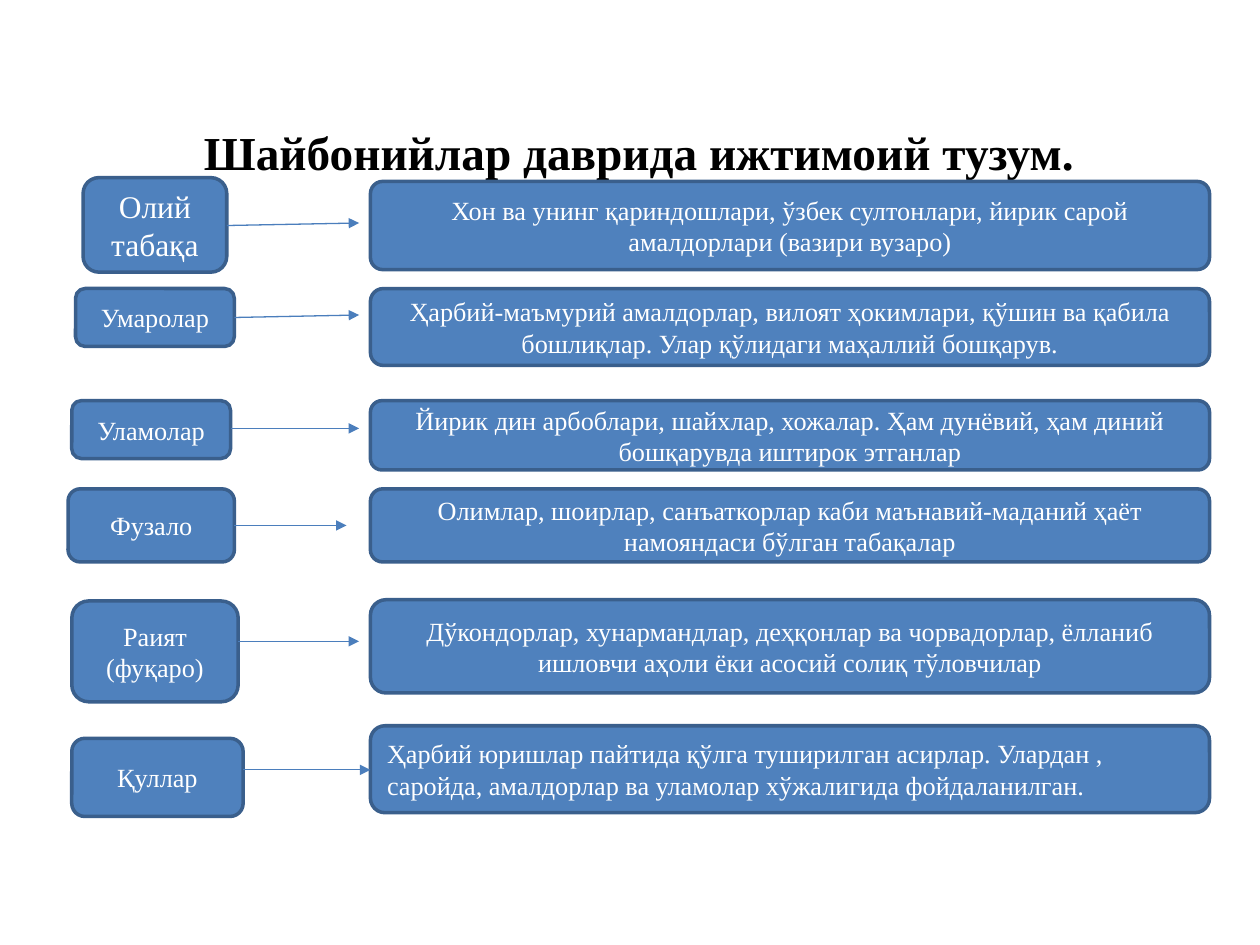
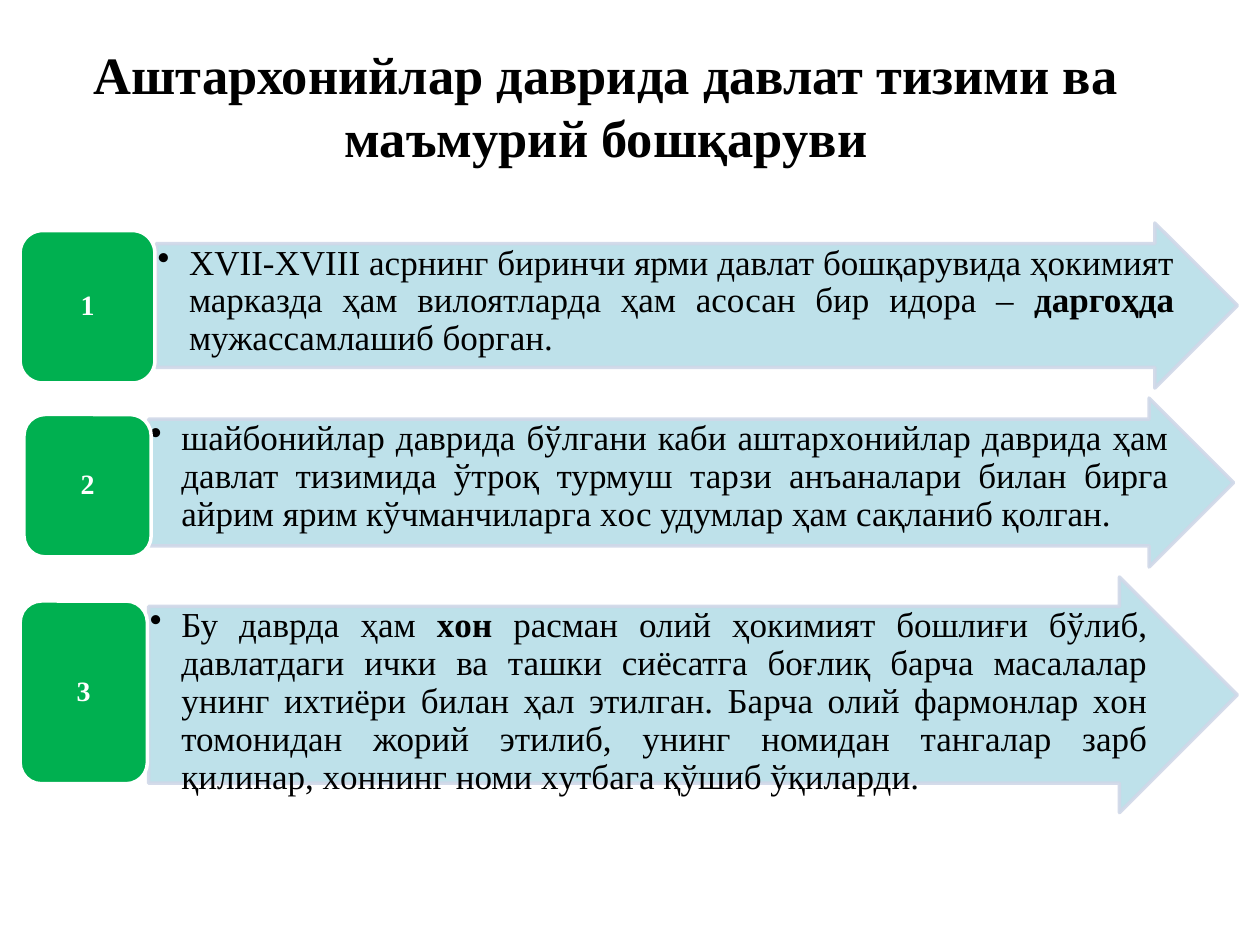
from lxml.etree import SubElement
from pptx import Presentation
from pptx.dml.color import RGBColor
from pptx.enum.shapes import MSO_CONNECTOR, MSO_SHAPE
from pptx.enum.text import MSO_ANCHOR, PP_ALIGN
from pptx.oxml.ns import qn
from pptx.util import Emu, Pt

EMU_PER_PX = 9144
FONT = "Times New Roman"
COLORS = {
    "title": "000000",
    "box": "4F81BD",
    "box_border": "3A5F8C",
    "link": "4B7EBC",
    "number": "00B050",
    "banner": "B7DEE8",
    "banner_border": "D0D8E8",
    "body": "000000",
    "white": "FFFFFF",
}


def px(length):
    return Emu(length * EMU_PER_PX)


def color(name):
    return RGBColor.from_string(COLORS[name])


class Deck:
    def __init__(self):
        self.presentation = Presentation()
        self.presentation.slide_width = px(1000)
        self.presentation.slide_height = px(750)
        self.slide = None

    def new_slide(self):
        layout = self.presentation.slide_layouts[6]
        self.slide = self.presentation.slides.add_slide(layout)

    def set_text(self, shape, text, size, ink, bold=False, align=PP_ALIGN.CENTER,
                 anchor=MSO_ANCHOR.MIDDLE, insets=(10, 5), spacing=None, bullet=False):
        frame = shape.text_frame
        frame.word_wrap = True
        frame.vertical_anchor = anchor
        frame.margin_left = frame.margin_right = px(insets[0])
        frame.margin_top = frame.margin_bottom = px(insets[1])
        for index, line in enumerate(text.split("\n")):
            paragraph = frame.add_paragraph() if index else frame.paragraphs[0]
            paragraph.alignment = align
            if spacing:
                paragraph.line_spacing = spacing
            if bullet:
                properties = paragraph._p.get_or_add_pPr()
                properties.set("marL", str(px(25)))
                properties.set("indent", str(px(-25)))
                SubElement(properties, qn("a:buChar")).set("char", "•")
            paragraph.font.name = FONT
            paragraph.font.size = Pt(size)
            paragraph.font.color.rgb = color(ink)
            paragraph.font.bold = bold
            for position, part in enumerate(line.split("*")):
                run = paragraph.add_run()
                run.text = part
                if position % 2:
                    run.font.bold = True

    def title(self, place, text, size):
        heading = self.slide.shapes.add_textbox(*map(px, place))
        self.set_text(heading, text, size, "title", bold=True)

    def panel(self, kind, place, fill, border):
        shape = self.slide.shapes.add_shape(kind, *map(px, place))
        shape.shadow.inherit = False
        shape.fill.solid()
        shape.fill.fore_color.rgb = color(fill)
        shape.line.color.rgb = color(border)
        shape.line.width = Pt(2)
        return shape

    def box(self, place, text, size=15, align=PP_ALIGN.CENTER, corner=None):
        shape = self.panel(MSO_SHAPE.ROUNDED_RECTANGLE, place, "box", "box_border")
        if corner:
            shape.adjustments[0] = corner
        self.set_text(shape, text, size, "white", align=align)

    def link(self, start, end):
        line = self.slide.shapes.add_connector(
            MSO_CONNECTOR.STRAIGHT, *map(px, start + end))
        line.line.color.rgb = color("link")
        line.line.width = Pt(0.75)
        SubElement(line.line._get_or_add_ln(), qn("a:tailEnd")).set("type", "triangle")
        SubElement(line._element.spPr, qn("a:effectLst"))

    def banner(self, place, text):
        shape = self.panel(MSO_SHAPE.RIGHT_ARROW, place, "banner", "banner_border")
        shape.adjustments[0] = 0.75
        shape.adjustments[1] = 0.5
        for tint in shape._element.spPr.iter(qn("a:srgbClr")):
            SubElement(tint, qn("a:alpha")).set("val", "90000")
        self.set_text(shape, text, 20, "body", align=PP_ALIGN.JUSTIFY,
                      anchor=MSO_ANCHOR.TOP, insets=(1, 1), spacing=0.9, bullet=True)

    def number(self, place, value):
        shape = self.panel(MSO_SHAPE.ROUNDED_RECTANGLE, place, "number", "white")
        self.set_text(shape, str(value), 16, "white", bold=True, insets=(7, 3), spacing=0.9)


def social_order(deck):
    deck.new_slide()
    deck.title((54, 94, 906, 53), "Шайбонийлар даврида ижтимоий тузум.", 27)
    estates = [
        ("Олий табақа", (66, 141, 114, 75), (144, 70), (179, 285, 177),
         "Хон ва унинг қариндошлари, ўзбек султонлари, йирик сарой\n"
         "амалдорлари (вазири вузаро)", {"corner": 0.14}),
        ("Умаролар", (60, 229, 126, 46), (229, 61), (252, 285, 250),
         "Ҳарбий-маъмурий амалдорлар, вилоят ҳокимлари, қўшин ва қабила "
         "бошлиқлар. Улар қўлидаги маҳаллий бошқарув.", {}),
        ("Уламолар", (57, 318, 126, 46), (318, 55), (340, 285, 340),
         "Йирик дин арбоблари, шайхлар, хожалар. Ҳам дунёвий, ҳам диний "
         "бошқарувда иштирок этганлар", {}),
        ("Фузало", (54, 388, 132, 58), (388, 58), (417, 275, 417),
         "Олимлар, шоирлар, санъаткорлар каби маънавий-маданий ҳаёт\n"
         "намояндаси бўлган табақалар", {}),
        ("Раият (фуқаро)", (57, 477, 132, 80), (476, 74), (509, 285, 509),
         "Дўкондорлар, хунармандлар, деҳқонлар ва чорвадорлар, ёлланиб "
         "ишловчи аҳоли ёки асосий солиқ тўловчилар", {}),
        ("Қуллар", (57, 586, 136, 62), (576, 69), (611, 294, 611),
         "Ҳарбий юришлар пайтида қўлга туширилган асирлар. Улардан ,\n"
         "саройда, амалдорлар ва уламолар хўжалигида фойдаланилган.",
         {"align": PP_ALIGN.LEFT}),
    ]
    for rank, (estate, place, (top, height), route, members, style) in enumerate(estates):
        start_y, end_x, end_y = route
        deck.box(place, estate, size=15 if rank else 18)
        deck.box((294, top, 666, height), members, **style)
        deck.link((place[0] + place[2], start_y), (end_x, end_y))


def state_system(deck):
    deck.new_slide()
    deck.title((43, 36, 876, 94),
               "Аштархонийлар даврида давлат тизими ва маъмурий бошқаруви", 30)
    theses = [
        ((124, 177, 858, 131), (16, 183, 107, 121),
         "XVII-XVIII асрнинг биринчи ярми давлат бошқарувида ҳокимият марказда "
         "ҳам вилоятларда ҳам асосан бир идора – *даргоҳда *мужассамлашиб борган."),
        ((118, 316, 861, 134), (19, 329, 101, 113),
         "шайбонийлар даврида бўлгани каби аштарxонийлар даврида ҳам давлат "
         "тизимида ўтроқ турмуш тарзи анъаналари билан бирга айрим ярим "
         "кўчманчиларга xос удумлар ҳам сақланиб қолган."),
        ((118, 458, 864, 187), (16, 477, 101, 145),
         "Бу даврда ҳам *xон *расман олий ҳокимият бошлиғи бўлиб, давлатдаги "
         "ички ва ташки сиёсатга боғлиқ барча масалалар унинг иxтиёри билан ҳал "
         "этилган. Барча олий фармонлар xон томонидан жорий этилиб, унинг номидан "
         "тангалар зарб қилинар, xоннинг номи xутбага қўшиб ўқиларди."),
    ]
    for value, (banner_place, number_place, thesis) in enumerate(theses, 1):
        deck.banner(banner_place, thesis)
        deck.number(number_place, value)


def main():
    deck = Deck()
    social_order(deck)
    state_system(deck)
    deck.presentation.save("out.pptx")


if __name__ == "__main__":
    main()
